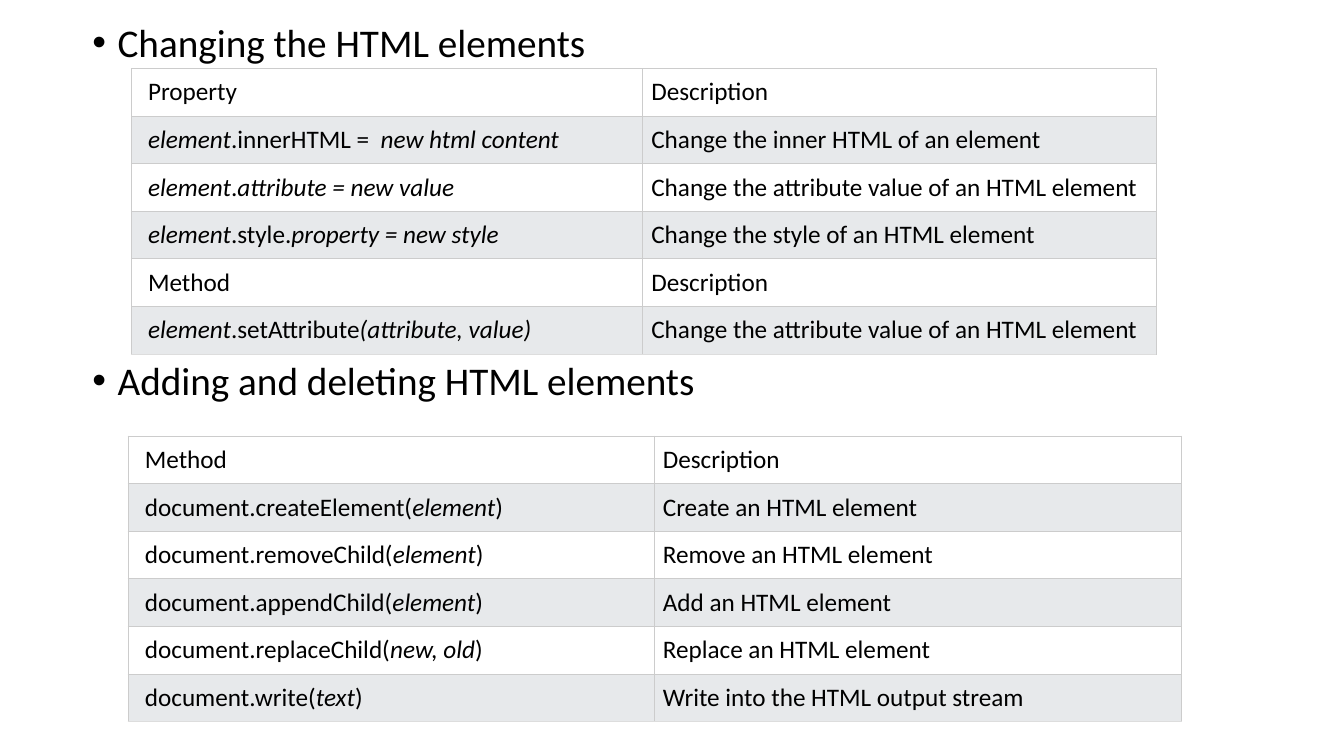
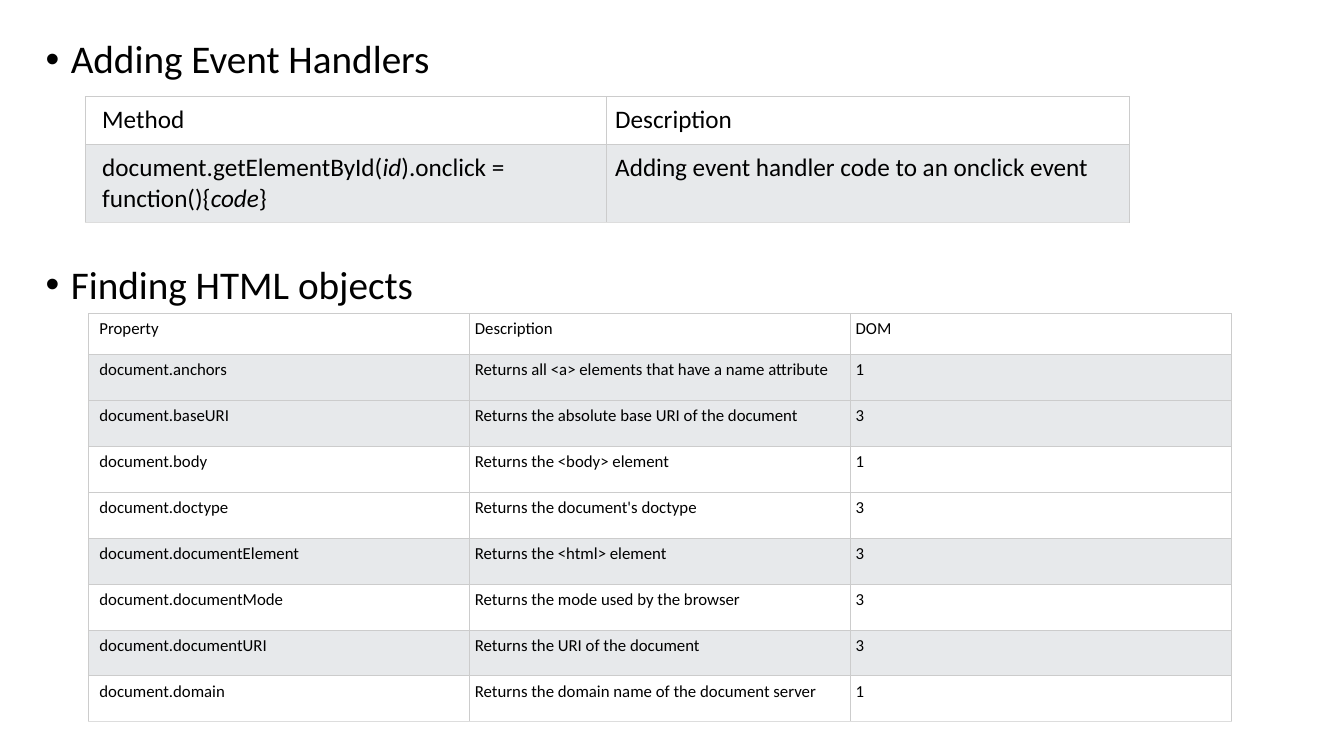
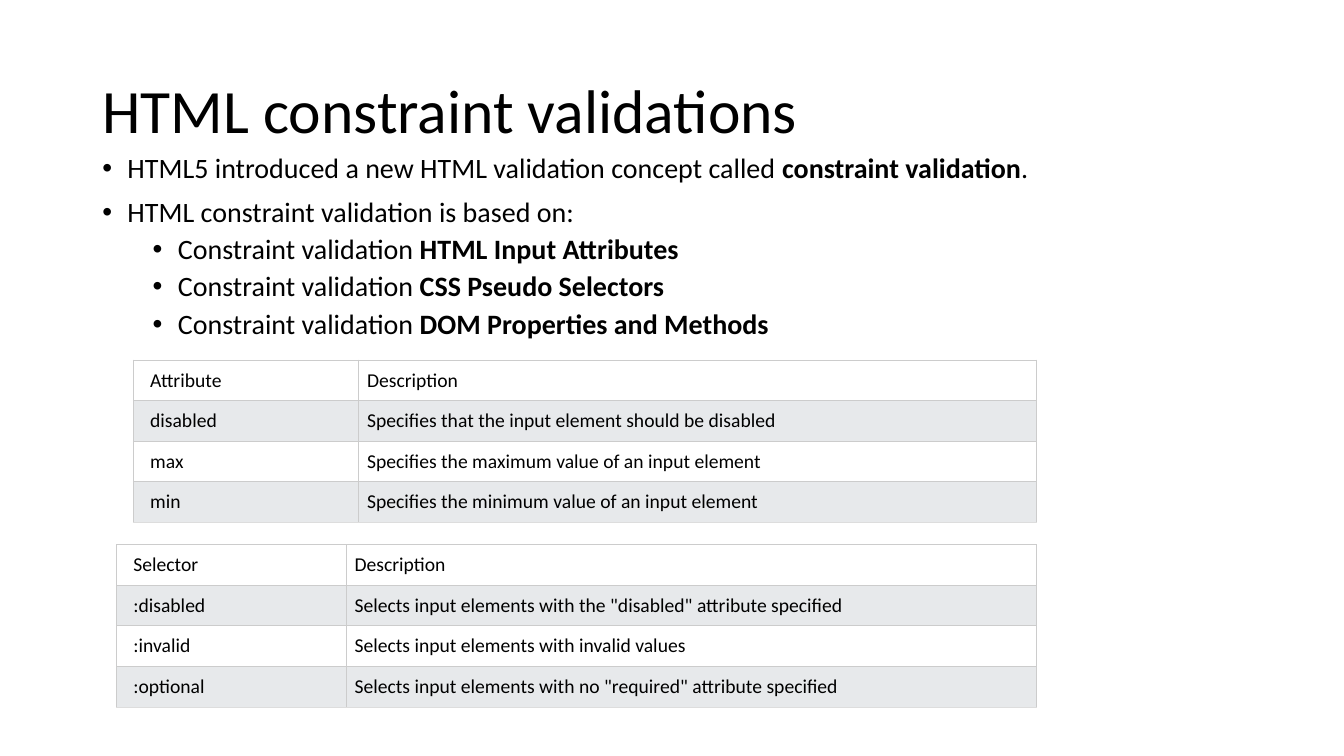
from pptx import Presentation
from pptx.dml.color import RGBColor
from pptx.enum.text import MSO_ANCHOR, MSO_AUTO_SIZE, PP_ALIGN
from pptx.oxml import parse_xml
from pptx.oxml.ns import nsdecls
from pptx.util import Pt

FONT = "Calibri"
BLACK, WHITE, SHADE = "000000", "FFFFFF", "E7E9EB"
BORDER, LAST_BORDER = "CCCCCC", "DDDDDD"


def rgb(color):
    return RGBColor.from_string(color)


def write(p, text, size, emphasis="italic"):
    """Fill a paragraph; the parts between asterisks get the emphasis."""
    for i, part in enumerate(text.split("*")):
        if part:
            r = p.add_run()
            r.text = part
            r.font.name, r.font.size = FONT, Pt(size)
            r.font.color.rgb = rgb(BLACK)
            if i % 2:
                setattr(r.font, emphasis, True)


prs = Presentation()
prs.slide_width, prs.slide_height = Pt(960), Pt(540)
TITLE_ONLY, BLANK = prs.slide_layouts[5], prs.slide_layouts[6]
changing = prs.slides.add_slide(BLANK)
events = prs.slides.add_slide(BLANK)
validation = prs.slides.add_slide(TITLE_ONLY)

# Title
title = validation.shapes.title
title.left, title.top, title.width, title.height = Pt(66), Pt(28.75), Pt(828), Pt(104.4)
tf = title.text_frame
tf.auto_size = MSO_AUTO_SIZE.NONE
tf.vertical_anchor = MSO_ANCHOR.MIDDLE
p = tf.paragraphs[0]
p.alignment, p.line_spacing = PP_ALIGN.LEFT, 0.9
write(p, "HTML constraint validations", 44)

# Bulleted text: slide, left, top, width, height, size, (level, text) lines
bullet_boxes = [
    (changing, 59, 13, 828, 38, 28, [(0, "Changing the HTML elements")]),
    (changing, 59, 254.5, 828, 38, 28, [(0, "Adding and deleting HTML elements")]),
    (events, 25.5, 25, 850, 38, 28, [(0, "Adding Event Handlers")]),
    (events, 25.5, 186, 850, 38, 28, [(0, "Finding HTML objects")]),
    (validation, 66, 106.5, 828, 145, 20, [
        (0, "HTML5 introduced a new HTML validation concept called *constraint validation*."),
        (0, "HTML constraint validation is based on:"),
        (1, "Constraint validation *HTML Input Attributes*"),
        (1, "Constraint validation *CSS Pseudo Selectors*"),
        (1, "Constraint validation *DOM Properties and Methods*"),
    ]),
]
for s, left, top, width, height, size, lines in bullet_boxes:
    tf = s.shapes.add_textbox(Pt(left), Pt(top), Pt(width), Pt(height)).text_frame
    tf.word_wrap = True
    for i, (level, text) in enumerate(lines):
        p = tf.add_paragraph() if i else tf.paragraphs[0]
        p.level, p.line_spacing, p.space_before = level, 0.9, Pt(5 if level else 10)
        write(p, text, size, "bold")
        pPr = p._p.get_or_add_pPr()
        pPr.set("marL", str(Pt(18 + 36 * level)))
        pPr.set("indent", str(-Pt(18)))
        pPr.append(parse_xml(f'<a:buFont {nsdecls("a")} typeface="Arial"/>'))
        pPr.append(parse_xml(f'<a:buChar {nsdecls("a")} char="•"/>'))

# Tables: slide, left, top, column widths, row heights, size, padding, shaded rows, rows
tables = [
    (changing, 93.75, 49, [365.5, 366.5], [34] * 6, 18, 6, {1, 3, 5}, [
        ("Property", "Description"),
        ("*element*.innerHTML =  *new html content*", "Change the inner HTML of an element"),
        ("*element*.*attribute = new value*", "Change the attribute value of an HTML element"),
        ("*element*.style.*property = new style*", "Change the style of an HTML element"),
        ("Method", "Description"),
        ("*element*.setAttribute*(attribute, value)*",
         "Change the attribute value of an HTML element"),
    ]),
    (changing, 91.5, 311.5, [376, 376.5], [34] * 6, 18, 6, {1, 3, 5}, [
        ("Method", "Description"),
        ("document.createElement(*element*)", "Create an HTML element"),
        ("document.removeChild(*element*)", "Remove an HTML element"),
        ("document.appendChild(*element*)", "Add an HTML element"),
        ("document.replaceChild(*new, old*)", "Replace an HTML element"),
        ("document.write(*text*)", "Write into the HTML output stream"),
    ]),
    (events, 61, 69, [372.5, 373], [34, 56], 18, 6, {1}, [
        ("Method", "Description"),
        ("document.getElementById(*id*).onclick = function(){*code*}",
         "Adding event handler code to an onclick event"),
    ]),
    (events, 63.5, 224, [272] * 3, [29.2] + [32.8] * 8, 12, 3.75, {1, 2, 5, 7}, [
        ("Property", "Description", "DOM"),
        ("document.anchors", "Returns all <a> elements that have a name attribute", "1"),
        ("document.baseURI", "Returns the absolute base URI of the document", "3"),
        ("document.body", "Returns the <body> element", "1"),
        ("document.doctype", "Returns the document's doctype", "3"),
        ("document.documentElement", "Returns the <html> element", "3"),
        ("document.documentMode", "Returns the mode used by the browser", "3"),
        ("document.documentURI", "Returns the URI of the document", "3"),
        ("document.domain", "Returns the domain name of the document server", "1"),
    ]),
    (validation, 95.25, 257.25, [161, 484], [29] * 4, 14, 6, {1, 3}, [
        ("Attribute", "Description"),
        ("disabled", "Specifies that the input element should be disabled"),
        ("max", "Specifies the maximum value of an input element"),
        ("min", "Specifies the minimum value of an input element"),
    ]),
    (validation, 83.25, 389, [164, 493], [29] * 4, 14, 6, {1, 3}, [
        ("Selector", "Description"),
        (":disabled", 'Selects input elements with the "disabled" attribute specified'),
        (":invalid", "Selects input elements with invalid values"),
        (":optional", 'Selects input elements with no "required" attribute specified'),
    ]),
]
for s, left, top, widths, heights, size, pad, shaded, rows in tables:
    table = s.shapes.add_table(len(rows), len(widths), Pt(left), Pt(top),
                               Pt(sum(widths)), Pt(sum(heights))).table
    table.first_row = table.horz_banding = False
    for column, width in zip(table.columns, widths):
        column.width = Pt(width)
    for i, (row, height, texts) in enumerate(zip(table.rows, heights, rows)):
        row.height = Pt(height)
        for j, (cell, text) in enumerate(zip(row.cells, texts)):
            cell.margin_left = Pt(pad if j else 2 * pad)
            cell.margin_right = cell.margin_top = cell.margin_bottom = Pt(pad)
            tcPr = cell._tc.get_or_add_tcPr()
            for side in "LRTB":
                last = side == "B" and i == len(rows) - 1
                tcPr.append(parse_xml(
                    f'<a:ln{side} {nsdecls("a")} w="{Pt(0.75)}"><a:solidFill>'
                    f'<a:srgbClr val="{LAST_BORDER if last else BORDER}"/>'
                    f'</a:solidFill></a:ln{side}>'))
            cell.fill.solid()
            cell.fill.fore_color.rgb = rgb(SHADE if i in shaded else WHITE)
            write(cell.text_frame.paragraphs[0], text, size)

prs.save("out.pptx")
